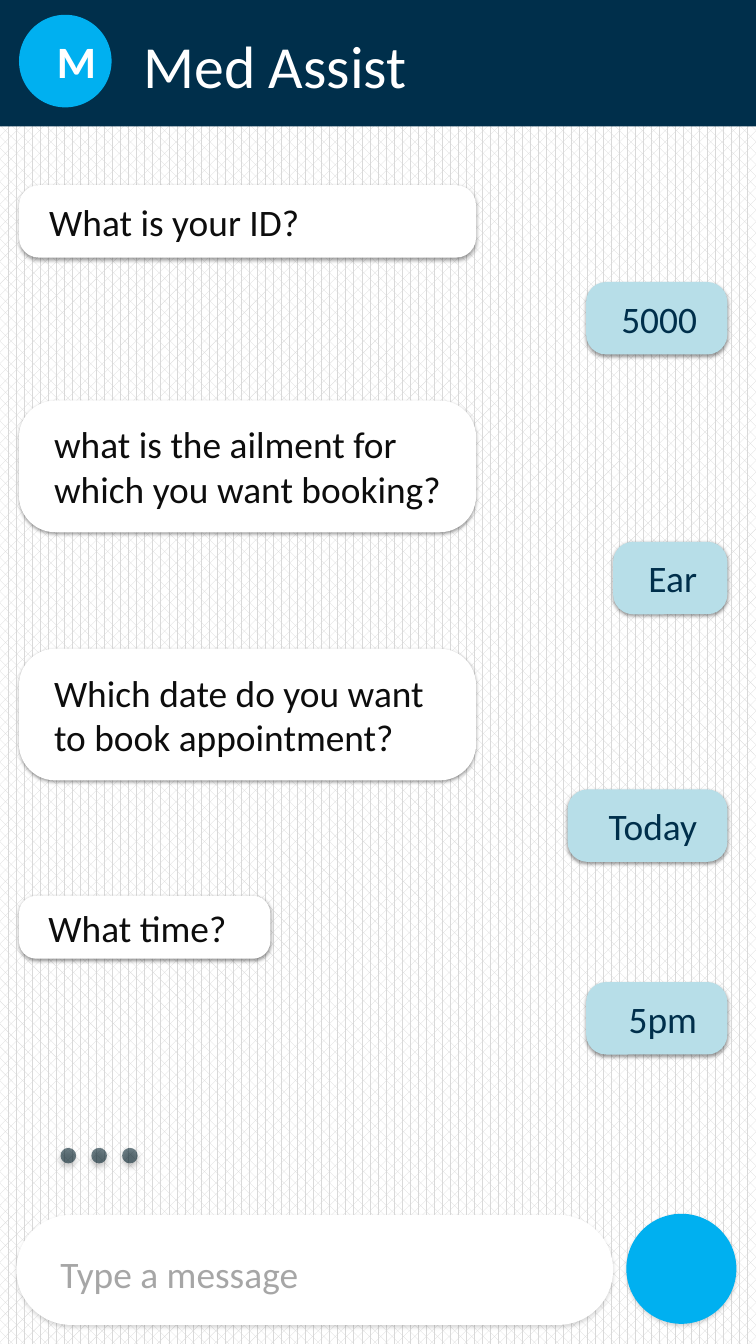
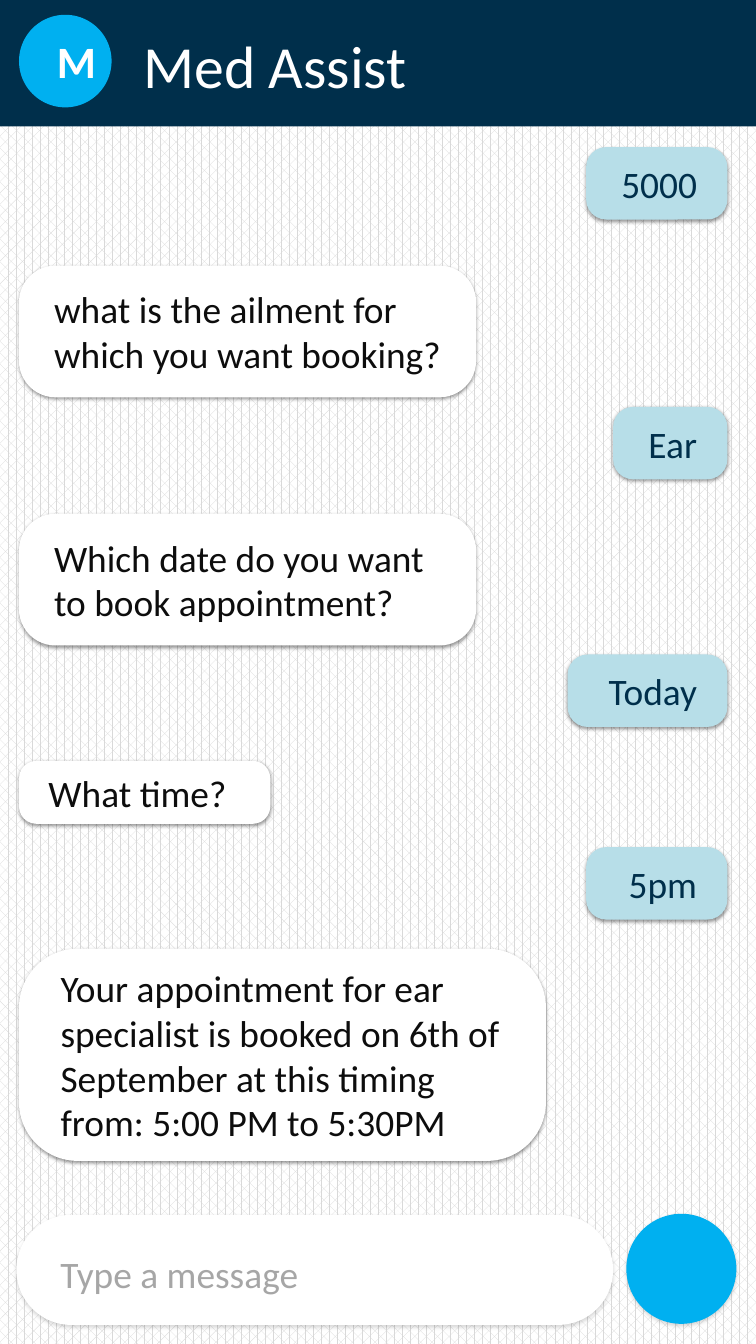
from dataclasses import dataclass

from lxml import etree
from pptx import Presentation
from pptx.dml.color import RGBColor
from pptx.enum.dml import MSO_LINE, MSO_PATTERN
from pptx.enum.shapes import MSO_CONNECTOR, MSO_SHAPE
from pptx.enum.text import MSO_ANCHOR, MSO_AUTO_SIZE, PP_ALIGN
from pptx.oxml.ns import qn
from pptx.util import Cm, Pt

RECT, OVAL, ROUND = MSO_SHAPE.RECTANGLE, MSO_SHAPE.OVAL, MSO_SHAPE.ROUNDED_RECTANGLE
LEFT, CENTER, RIGHT = PP_ALIGN.LEFT, PP_ALIGN.CENTER, PP_ALIGN.RIGHT
TOP, MIDDLE = MSO_ANCHOR.TOP, MSO_ANCHOR.MIDDLE
GROW = MSO_AUTO_SIZE.SHAPE_TO_FIT_TEXT
STRAIGHT = MSO_CONNECTOR.STRAIGHT
DOTS = MSO_LINE.ROUND_DOT
WEAVE = MSO_PATTERN.PERCENT_60


@dataclass(frozen=True)
class Theme:
    font: str = "Calibri"
    title: int = 32
    initial: int = 24
    body: int = 20
    night: str = "001F2B"
    navy: str = "002F4B"
    accent: str = "00B0F0"
    reply: str = "B7DEE8"
    white: str = "FFFFFF"
    weave: str = "D9D9D9"
    ink: str = "0D0D0D"
    hint: str = "A6A6A6"


T = Theme()
WIDTH, HEIGHT = 14.29, 25.4
BOT_LEFT, USER_RIGHT = 0.36, 13.75
HEADER_HEIGHT = 2.39
BUBBLE_CORNER = 0.277
BUBBLE_SHADOW = (40, 2, 1)
INPUT_SHADOW = (14, 2, 1)
TYPING_SHADOW = (38, 3.1, 1.6)

APP_NAME, INITIAL, HINT = "Med Assist", "M", "Type a message"

# sender, text, top, width, height
CHAT = [
    ("bot", "What is your ID?", 3.5, 8.64, 1.37),
    ("user", "5000", 5.33, 2.67, 1.37),
    ("bot", "what is the ailment for which you want booking?", 7.57, 8.64, 2.49),
    ("user", "Ear", 10.24, 2.16, 1.37),
    ("bot", "Which date do you want to book appointment?", 12.26, 8.64, 2.49),
    ("user", "Today", 14.92, 3.02, 1.37),
    ("bot", "What time?", 16.93, 4.75, 1.19),
    ("user", "5pm", 18.56, 2.67, 1.37),
    ("bot", "Your appointment for ear specialist is booked on 6th of "
            "September at this timing from: 5:00 PM to 5:30PM", 20.48, 9.96, 4.01),
]
SCREENS = [
    {"messages": CHAT[:-1], "scroll": 0, "typing": True},
    {"messages": CHAT[1:], "scroll": 2.55, "typing": False},
]


def rgb(color):
    return RGBColor.from_string(color)


def add_shadow(effects, alpha, blur, distance):
    shadow = etree.SubElement(effects, qn("a:outerShdw"), blurRad=str(Pt(blur)),
                              dist=str(Pt(distance)), dir="5400000",
                              algn="t", rotWithShape="0")
    color = etree.SubElement(shadow, qn("a:srgbClr"), val="000000")
    etree.SubElement(color, qn("a:alpha"), val=str(alpha * 1000))


def add_block(s, kind, box, color, shadow=None, corner=None):
    sp = s.shapes.add_shape(kind, *map(Cm, box))
    sp.fill.solid()
    sp.fill.fore_color.rgb = rgb(color)
    sp.line.fill.background()
    sp.shadow.inherit = False
    if shadow:
        add_shadow(sp.element.spPr.find(qn("a:effectLst")), *shadow)
    if corner is not None:
        sp.adjustments[0] = corner
    return sp


def write(sp, text, size, color, align=LEFT, bold=False):
    p = sp.text_frame.paragraphs[0]
    p.text = text
    p.alignment = align
    p.font.name, p.font.size, p.font.bold = T.font, Pt(size), bold
    p.font.color.rgb = rgb(color)


def pad(sp):
    tf = sp.text_frame
    tf.word_wrap = True
    tf.vertical_anchor = MIDDLE
    tf.margin_left = tf.margin_right = Cm(0.46)
    tf.margin_top = tf.margin_bottom = Cm(0.23)


def fit_label(sp):
    tf = sp.text_frame
    tf.word_wrap = False
    tf.auto_size = GROW
    tf.vertical_anchor = TOP
    tf.margin_left = tf.margin_right = Cm(0.25)
    tf.margin_top = tf.margin_bottom = Cm(0.13)


def add_frame(s):
    s.background.fill.solid()
    s.background.fill.fore_color.rgb = rgb(T.night)

    wall = add_block(s, RECT, (0, 0, WIDTH, HEIGHT), T.white)
    wall.fill.patterned()
    wall.fill.pattern = WEAVE
    wall.fill.fore_color.rgb = rgb(T.weave)
    wall.fill.back_color.rgb = rgb(T.white)

    add_block(s, ROUND, (0.31, 22.96, 11.28, 2.08), T.white, INPUT_SHADOW, 0.5)
    add_block(s, OVAL, (11.84, 22.94, 2.08, 2.08), T.accent, INPUT_SHADOW)
    hint = s.shapes.add_textbox(Cm(0.89), Cm(23.52), Cm(5.05), Cm(1.11))
    fit_label(hint)
    write(hint, HINT, T.body, T.hint)

    add_block(s, RECT, (0, 0, WIDTH, HEADER_HEIGHT), T.navy)
    avatar = add_block(s, OVAL, (BOT_LEFT, 0.28, 1.75, 1.75), T.accent)
    pad(avatar)
    write(avatar, INITIAL, T.initial, T.white, CENTER, True)

    title = s.shapes.title
    title.element.getparent().append(title.element)
    title.left, title.top, title.width, title.height = map(Cm, (2.46, 0.41, 5.54, 1.62))
    fit_label(title)
    write(title, APP_NAME, T.title, T.white)


def add_bubble(s, sender, text, top, width, height):
    if sender == "bot":
        left, fill, color, align = BOT_LEFT, T.white, T.ink, LEFT
    else:
        left, fill, color, align = USER_RIGHT - width, T.reply, T.navy, RIGHT
    sp = add_block(s, ROUND, (left, top, width, height), fill,
                   BUBBLE_SHADOW, BUBBLE_CORNER)
    pad(sp)
    write(sp, text, T.body, color, align)


def add_typing(s):
    dots = s.shapes.add_connector(STRAIGHT, Cm(1.29), Cm(21.84), Cm(2.74), Cm(21.84))
    dots.line.color.rgb = rgb(T.night)
    dots.line.width = Pt(8.25)
    dots.line.dash_style = DOTS
    spPr = dots.element.spPr
    ln = spPr.find(qn("a:ln"))
    ln.set("cap", "rnd")
    color = ln.find(".//" + qn("a:srgbClr"))
    etree.SubElement(color, qn("a:alpha"), val="57000")
    add_shadow(etree.SubElement(spPr, qn("a:effectLst")), *TYPING_SHADOW)


prs = Presentation()
prs.slide_width, prs.slide_height = Cm(WIDTH), Cm(HEIGHT)
title_only = prs.slide_layouts[5]
for screen in SCREENS:
    s = prs.slides.add_slide(title_only)
    add_frame(s)
    if screen["typing"]:
        add_typing(s)
    for sender, text, top, width, height in screen["messages"]:
        add_bubble(s, sender, text, top - screen["scroll"], width, height)
prs.save("out.pptx")
